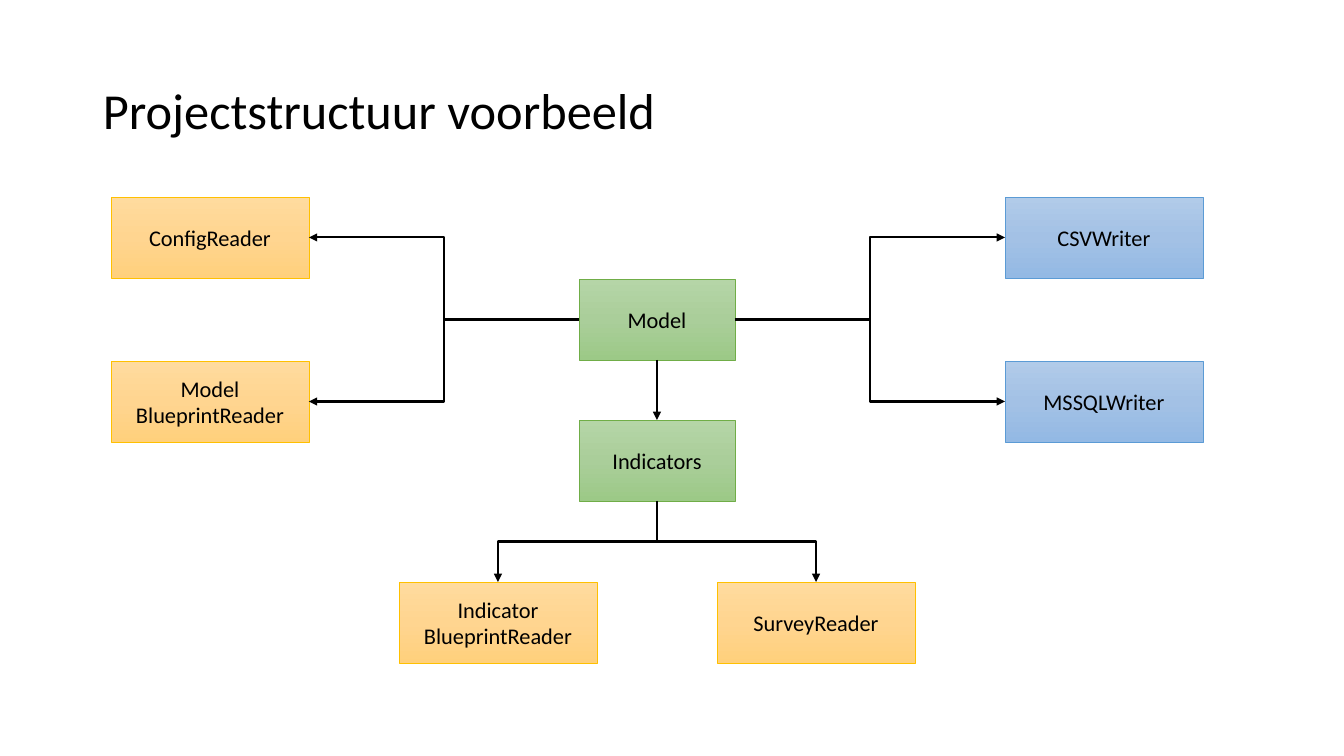
from copy import deepcopy

from pptx import Presentation
from pptx.dml.color import RGBColor
from pptx.enum.shapes import MSO_CONNECTOR, MSO_SHAPE
from pptx.enum.text import MSO_ANCHOR, PP_ALIGN
from pptx.oxml.ns import qn
from pptx.util import Pt
from lxml.etree import SubElement

PX = 914400 / 100.8  # EMU per px
TOP, LEFT, BOTTOM, RIGHT = range(4)  # connection sites of a rectangle
COLORS = {
    "text": "000000",
    "core": ["B5D5A7", "AACE9A", "9CC987"], "core line": "70AD47",
    "reader": ["FFDB9E", "FFD590", "FFD07C"], "reader line": "FFC000",
    "writer": ["B1CBE9", "A3C1E5", "93B9E4"], "writer line": "5B9BD5",
}
WIDTHS = {"core": 156, "reader": 198, "writer": 198}
BOX_HEIGHT = 81


def px(*lengths):
    return [round(length * PX) for length in lengths]


def write(shape, text, size, align, spacing):
    frame = shape.text_frame
    frame.word_wrap = True
    frame.vertical_anchor = MSO_ANCHOR.MIDDLE
    frame.text = text
    for para in frame.paragraphs:
        para.alignment, para.line_spacing = align, spacing
        for span in para.runs:
            for name, value in {"name": "Calibri", "size": Pt(size)}.items():
                setattr(span.font, name, value)
            span.font.color.rgb = RGBColor.from_string(COLORS["text"])


deck = Presentation()
deck.slide_width, deck.slide_height = px(1344, 756)
page = deck.slides.add_slide(deck.slide_layouts[6])

# Title
title = page.shapes.add_textbox(*px(93, 40, 1159, 146))
write(title, "Projectstructuur voorbeeld", 36, PP_ALIGN.LEFT, 0.9)

# Boxes: text, kind, left, top
boxes = {}
for text, kind, left, top in [
    ("Model", "core", 579, 279),
    ("Indicators", "core", 579, 420),
    ("ConfigReader", "reader", 111, 197),
    ("Model\nBlueprintReader", "reader", 111, 361),
    ("Indicator\nBlueprintReader", "reader", 399, 582),
    ("SurveyReader", "reader", 717, 582),
    ("CSVWriter", "writer", 1005, 197),
    ("MSSQLWriter", "writer", 1005, 361),
]:
    box = page.shapes.add_shape(MSO_SHAPE.RECTANGLE, *px(left, top, WIDTHS[kind], BOX_HEIGHT))
    box.shadow.inherit = False
    box.fill.gradient()
    box.fill.gradient_angle = 270
    stops = box.element.spPr.find(qn("a:gradFill")).find(qn("a:gsLst"))
    stops.insert(1, deepcopy(stops[0]))
    for index, stop in enumerate(box.fill.gradient_stops):
        stop.position = index / 2
        stop.color.rgb = RGBColor.from_string(COLORS[kind][index])
    box.line.color.rgb = RGBColor.from_string(COLORS[kind + " line"])
    box.line.width = Pt(0.5)
    write(box, text, 16, PP_ALIGN.CENTER, 1.0)
    boxes[text] = box

# Arrows: source, side, target, side
for source, start, target, end in [
    ("Model", LEFT, "ConfigReader", RIGHT),
    ("Model", LEFT, "Model\nBlueprintReader", RIGHT),
    ("Model", RIGHT, "CSVWriter", LEFT),
    ("Model", RIGHT, "MSSQLWriter", LEFT),
    ("Model", BOTTOM, "Indicators", TOP),
    ("Indicators", BOTTOM, "SurveyReader", TOP),
    ("Indicators", BOTTOM, "Indicator\nBlueprintReader", TOP),
]:
    straight = target == "Indicators"
    kind = MSO_CONNECTOR.STRAIGHT if straight else MSO_CONNECTOR.ELBOW
    arrow = page.shapes.add_connector(kind, 0, 0, 0, 0)
    arrow.begin_connect(boxes[source], start)
    arrow.end_connect(boxes[target], end)
    properties = arrow.element.spPr

    # An elbow that leaves downwards is a turned frame about the same centre
    if start == BOTTOM and not straight:
        to_right = arrow.end_x > arrow.begin_x
        shift = (arrow.width - arrow.height) // 2
        arrow.left, arrow.top = arrow.left + shift, arrow.top - shift
        arrow.width, arrow.height = arrow.height, arrow.width
        frame = properties.find(qn("a:xfrm"))
        frame.set("rot", "16200000" if to_right else "5400000")
        frame.set("flipH", "1" if to_right else "0")

    arrow.line.color.rgb = RGBColor.from_string(COLORS["text"])
    arrow.line.width = Pt(1.5)
    SubElement(properties.find(qn("a:ln")), qn("a:tailEnd"), type="triangle")
    SubElement(properties, qn("a:effectLst"))

deck.save("out.pptx")
